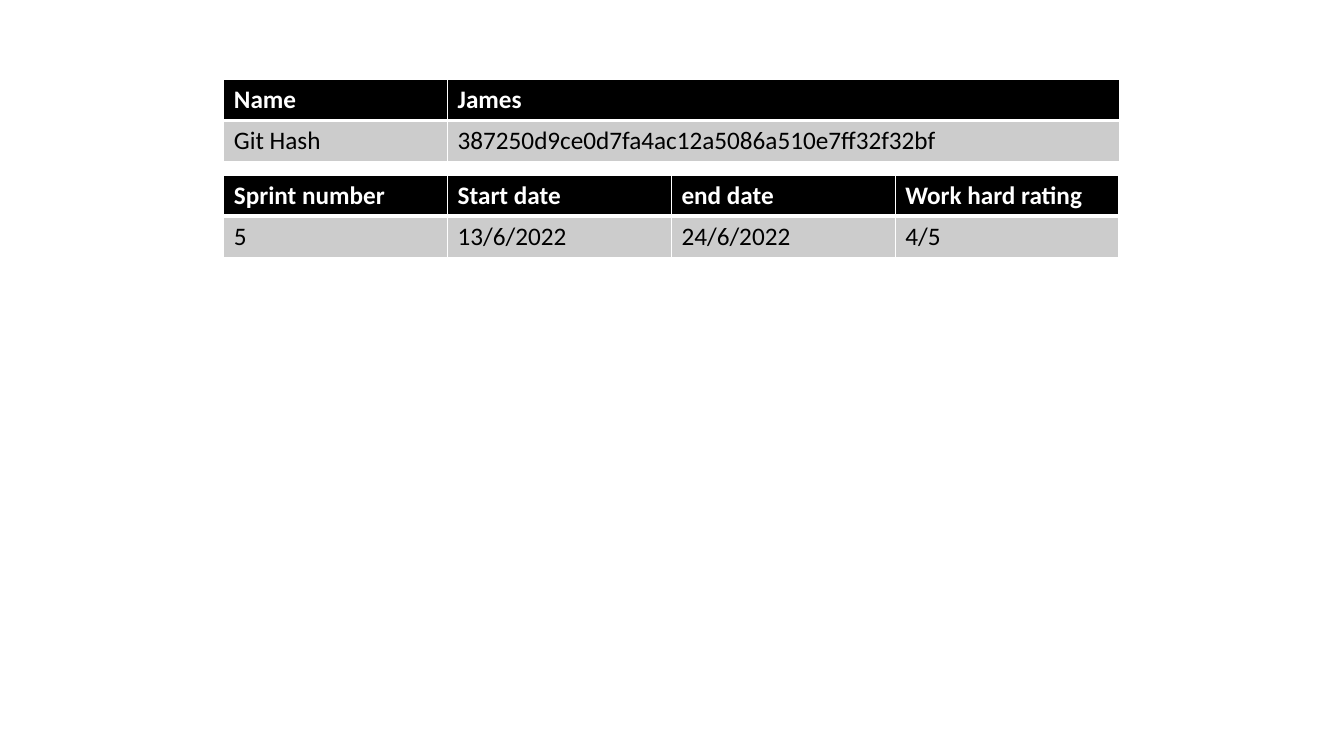
"""Build a slide with a commit table above a sprint table."""
from dataclasses import dataclass

from lxml.etree import SubElement
from pptx import Presentation
from pptx.dml.color import RGBColor
from pptx.oxml.ns import qn
from pptx.util import Inches, Pt

COLORS = {"header": "000000", "body": "CCCCCC", "light": "FFFFFF", "dark": "000000"}
FONT = "Calibri"
LEFT, COL_W, ROW_H = 2.22, 2.22, 0.405


@dataclass(frozen=True)
class TableSpec:
    """Position, column spans and text of one table."""
    top: float
    spans: tuple[int, ...]
    rows: tuple[tuple[str, ...], ...]


TABLES = (
    TableSpec(0.79, (1, 3), (
        ("Name", "James"),
        ("Git Hash", "387250d9ce0d7fa4ac12a5086a510e7ff32f32bf"),
    )),
    TableSpec(1.74, (1, 1, 1, 1), (
        ("Sprint number", "Start date", "end date", "Work hard rating"),
        ("5", "13/6/2022", "24/6/2022", "4/5"),
    )),
)


def set_borders(cell, widths: dict[str, int]) -> None:
    """Draw light borders of the given point widths."""
    tc_pr = cell._tc.get_or_add_tcPr()
    for side, width in widths.items():
        ln = SubElement(tc_pr, qn(f"a:ln{side}"), w=str(Pt(width)))
        fill = SubElement(ln, qn("a:solidFill"))
        SubElement(fill, qn("a:srgbClr"), val=COLORS["light"])


def format_cell(cell, text: str, header: bool) -> None:
    """Write and style one cell."""
    cell.text = text
    font = cell.text_frame.paragraphs[0].font
    font.name, font.size, font.bold = FONT, Pt(18), header
    font.color.rgb = RGBColor.from_string(COLORS["light" if header else "dark"])
    set_borders(cell, {"L": 1, "R": 1, "T": 1 if header else 3, "B": 3 if header else 1})
    cell.fill.solid()
    cell.fill.fore_color.rgb = RGBColor.from_string(COLORS["header" if header else "body"])


def draw_table(s, table: TableSpec) -> None:
    """Add one table to the slide."""
    tbl = s.shapes.add_table(
        len(table.rows), len(table.spans), Inches(LEFT), Inches(table.top),
        Inches(COL_W * sum(table.spans)), Inches(ROW_H * len(table.rows)),
    ).table
    for col, span in zip(tbl.columns, table.spans):
        col.width = Inches(COL_W * span)
    for i, row in enumerate(table.rows):
        for j, text in enumerate(row):
            format_cell(tbl.cell(i, j), text, header=i == 0)


def main() -> None:
    """Create and save the presentation."""
    prs = Presentation()
    prs.slide_width, prs.slide_height = Inches(13.33), Inches(7.5)
    s = prs.slides.add_slide(prs.slide_layouts[6])
    for table in TABLES:
        draw_table(s, table)
    prs.save("out.pptx")


if __name__ == "__main__":
    main()
